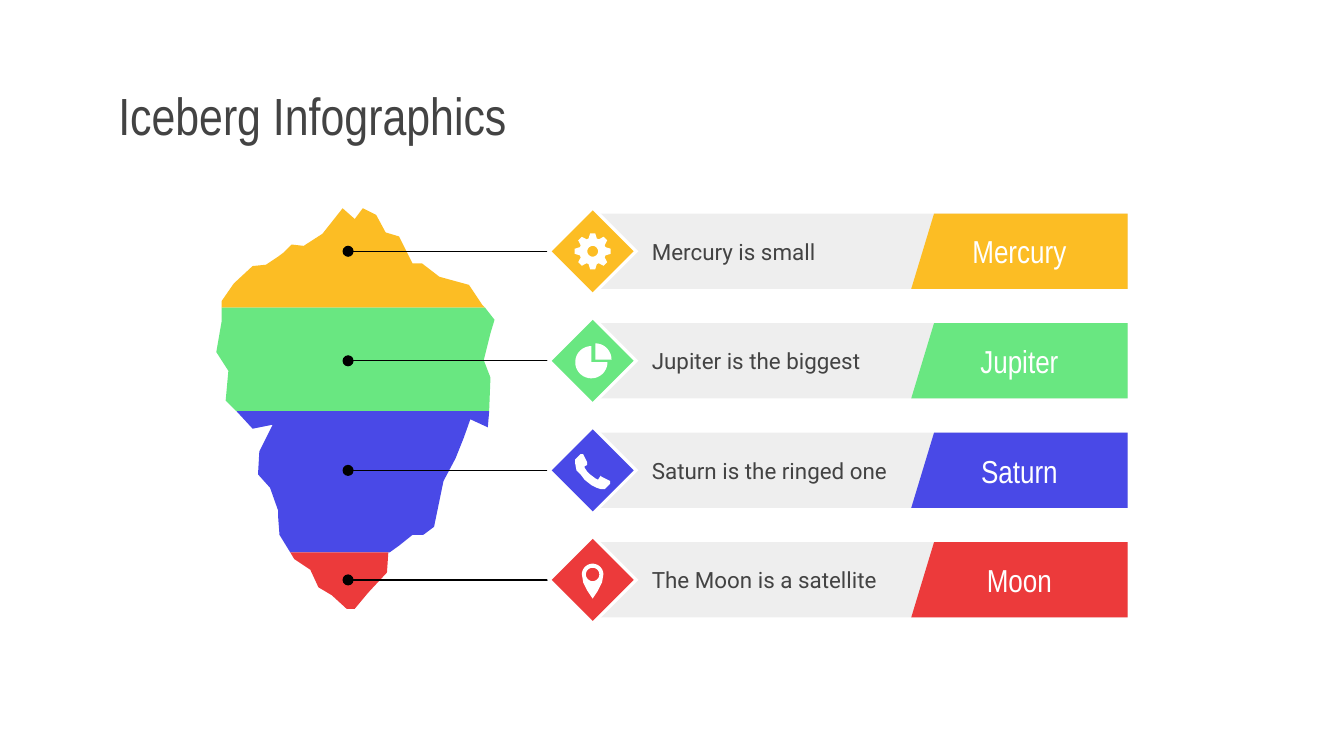
from dataclasses import dataclass
from math import cos, pi, sin

from lxml.etree import SubElement
from pptx import Presentation
from pptx.dml.color import RGBColor
from pptx.enum.shapes import MSO_CONNECTOR, MSO_SHAPE
from pptx.enum.text import MSO_ANCHOR, MSO_AUTO_SIZE, PP_ALIGN
from pptx.oxml.ns import qn
from pptx.util import Inches, Pt

Contour = list[tuple[float, float]]

SLIDE_WIDTH, SLIDE_HEIGHT = 10, 5.625
WHITE, BLACK, INK, BAND = "FFFFFF", "000000", "434343", "EEEEEE"
HEADING_FONT, BODY_FONT = "Arial Narrow", "Roboto"

# Columns and rows of the layout, in inches
DOT_X, LINE_END_X, ICON_X = 2.59, 4.15, 4.41
BAND_LEFT, LABEL_LEFT, RIGHT = 4.4, 6.78, 8.39
LABEL_SLANT = 0.17
FIRST_ROW_Y, ROW_PITCH, BAND_HEIGHT = 1.87, 0.815, 0.56


@dataclass
class Layer:
    name: str
    fact: str
    color: str
    section: Contour
    icon: list[list[Contour]]  # each part is a list of contours


def rgb(color: str) -> RGBColor:
    return RGBColor.from_string(color)


def paint(shape, color: str):
    shape.fill.solid()
    shape.fill.fore_color.rgb = rgb(color)
    shape.line.fill.background()
    shape.shadow.inherit = False
    return shape


def draw_outline(slide, contours: list[Contour], color: str):
    """Filled outline; a second contour cuts a hole."""
    scaled = [[(Inches(x), Inches(y)) for x, y in contour] for contour in contours]
    builder = slide.shapes.build_freeform(*scaled[0][0], scale=1.0)
    builder.add_line_segments(scaled[0][1:], close=True)
    for contour in scaled[1:]:
        builder.move_to(*contour[0])
        builder.add_line_segments(contour[1:], close=True)
    return paint(builder.convert_to_shape(), color)


def draw_preset(slide, kind, left: float, top: float, width: float, height: float, color: str):
    box = [Inches(value) for value in (left, top, width, height)]
    return paint(slide.shapes.add_shape(kind, *box), color)


def write(shape, text: str, size: float, font: str, color: str,
          align=PP_ALIGN.LEFT, left_inset: float = 0.1) -> None:
    frame = shape.text_frame
    frame.text = text
    frame.word_wrap = True
    frame.auto_size = MSO_AUTO_SIZE.NONE
    frame.vertical_anchor = MSO_ANCHOR.MIDDLE
    frame.margin_left = Inches(left_inset)
    frame.margin_top = frame.margin_right = frame.margin_bottom = Inches(0.1)
    paragraph = frame.paragraphs[0]
    paragraph.alignment = align
    paragraph.font.size = Pt(size)
    paragraph.font.name = font
    paragraph.font.color.rgb = rgb(color)


def draw_pointer(slide, y: float) -> None:
    """Thin line that ends in a dot on the iceberg."""
    line = slide.shapes.add_connector(
        MSO_CONNECTOR.STRAIGHT, Inches(LINE_END_X), Inches(y), Inches(DOT_X), Inches(y))
    line.line.color.rgb = rgb(BLACK)
    line.line.width = Pt(0.75)
    SubElement(line.line._get_or_add_ln(), qn("a:tailEnd"), type="oval")
    SubElement(line._element.spPr, qn("a:effectLst"))


def arc(x: float, y: float, radius: float, start: float = 0, end: float = 360) -> Contour:
    """Points along an arc; angles in degrees, clockwise from the right."""
    steps = 32
    angles = [(start + (end - start) * step / steps) * pi / 180 for step in range(steps + 1)]
    return [(x + radius * cos(angle), y + radius * sin(angle)) for angle in angles]


def gear(teeth: int = 8) -> Contour:
    profile = [(-18, 0.1), (-8, 0.135), (8, 0.135), (18, 0.1)]
    return [(radius * cos((360 * tooth / teeth + turn) * pi / 180),
             radius * sin((360 * tooth / teeth + turn) * pi / 180))
            for tooth in range(teeth) for turn, radius in profile]


# Icons, relative to the centre of their diamond
GEAR = [[gear(), arc(0, 0, 0.04)]]
PIE = [[arc(-0.01, 0.01, 0.12, 0, 270) + [(-0.01, 0.01)]],
       [arc(0.02, -0.01, 0.12, 270, 360) + [(0.02, -0.01)]]]
PHONE = [[[
    (-0.08, -0.12), (-0.09, -0.12), (-0.13, -0.08), (-0.13, -0.05), (-0.12, 0),
    (-0.09, 0.03), (-0.06, 0.07), (-0.01, 0.11), (0.03, 0.13), (0.06, 0.14),
    (0.09, 0.14), (0.13, 0.1), (0.13, 0.08), (0.07, 0.05), (0.06, 0.04),
    (0.04, 0.07), (0.02, 0.06), (-0.02, 0.03), (-0.04, 0.01), (-0.06, -0.02),
    (-0.06, -0.03), (-0.04, -0.04), (-0.04, -0.06), (-0.07, -0.12)]]]
PIN = [[arc(0, -0.04, 0.08, 180, 360) + [(0.07, 0.02), (0.04, 0.08), (0, 0.14),
                                       (-0.04, 0.08), (-0.07, 0.02)],
        arc(0, -0.04, 0.05)]]

LAYERS = [
    Layer("Mercury", "Mercury is small", "FCBD24", [
        (2.55, 1.55), (2.4, 1.74), (2.26, 1.83), (2.17, 1.82), (2.11, 1.88), (2.07, 1.91),
        (1.98, 1.97), (1.88, 1.98), (1.74, 2.11), (1.65, 2.24), (1.65, 2.29), (3.61, 2.29),
        (3.59, 2.27), (3.49, 2.12), (3.27, 2.06), (3.14, 1.96), (3.07, 1.96), (2.97, 1.76),
        (2.87, 1.73), (2.8, 1.6), (2.7, 1.55), (2.64, 1.63)], GEAR),
    Layer("Jupiter", "Jupiter is the biggest", "69E781", [
        (1.65, 2.29), (1.65, 2.39), (1.61, 2.62), (1.7, 2.76), (1.68, 2.98), (1.76, 3.06),
        (3.64, 3.06), (3.65, 2.81), (3.6, 2.68), (3.65, 2.48), (3.68, 2.38), (3.61, 2.29)],
        PIE),
    Layer("Saturn", "Saturn is the ringed one", "4949E7", [
        (1.76, 3.06), (1.88, 3.19), (2.03, 3.16), (1.93, 3.36), (1.92, 3.53), (2.01, 3.63),
        (2.07, 3.8), (2.07, 3.85), (2.08, 3.98), (2.16, 4.11), (2.9, 4.11), (2.97, 4.06),
        (3.07, 3.98), (3.15, 3.98), (3.23, 3.92), (3.3, 3.58), (3.39, 3.41), (3.45, 3.26),
        (3.5, 3.12), (3.63, 3.18), (3.64, 3.06)], PHONE),
    Layer("Moon", "The Moon is a satellite", "EC3A3B", [
        (2.16, 4.11), (2.19, 4.16), (2.31, 4.24), (2.37, 4.37), (2.47, 4.43), (2.58, 4.53),
        (2.64, 4.53), (2.74, 4.41), (2.88, 4.26), (2.89, 4.11)], PIN),
]


def draw_layer(slide, layer: Layer, row: int) -> None:
    y = FIRST_ROW_Y + row * ROW_PITCH
    top, bottom = y - BAND_HEIGHT / 2, y + BAND_HEIGHT / 2

    # Iceberg section and its pointer
    draw_outline(slide, [layer.section], layer.color)
    draw_pointer(slide, y)

    # Fact band and slanted name label
    band = draw_preset(slide, MSO_SHAPE.RECTANGLE, BAND_LEFT, top,
                       RIGHT - BAND_LEFT, BAND_HEIGHT, BAND)
    write(band, layer.fact, 12, BODY_FONT, INK, left_inset=0.45)
    label = draw_outline(slide, [[(LABEL_LEFT + LABEL_SLANT, top), (LABEL_LEFT, bottom),
                                  (RIGHT, bottom), (RIGHT, top)]], layer.color)
    write(label, layer.name, 17, HEADING_FONT, WHITE, PP_ALIGN.CENTER)

    # White-rimmed diamond with its icon
    for size, color in ((0.68, WHITE), (0.61, layer.color)):
        draw_preset(slide, MSO_SHAPE.DIAMOND, ICON_X - size / 2, y - size / 2, size, size, color)
    for part in layer.icon:
        contours = [[(ICON_X + dx, y + dy) for dx, dy in contour] for contour in part]
        draw_outline(slide, contours, WHITE)


def main() -> None:
    presentation = Presentation()
    presentation.slide_width = Inches(SLIDE_WIDTH)
    presentation.slide_height = Inches(SLIDE_HEIGHT)
    slide = presentation.slides.add_slide(presentation.slide_layouts[5])

    title = slide.shapes.title
    title.left, title.top = Inches(0.78), Inches(0.59)
    title.width, title.height = Inches(8.45), Inches(0.53)
    write(title, "Iceberg Infographics", 28, HEADING_FONT, INK)

    for row, layer in enumerate(LAYERS):
        draw_layer(slide, layer, row)
    presentation.save("out.pptx")


if __name__ == "__main__":
    main()
